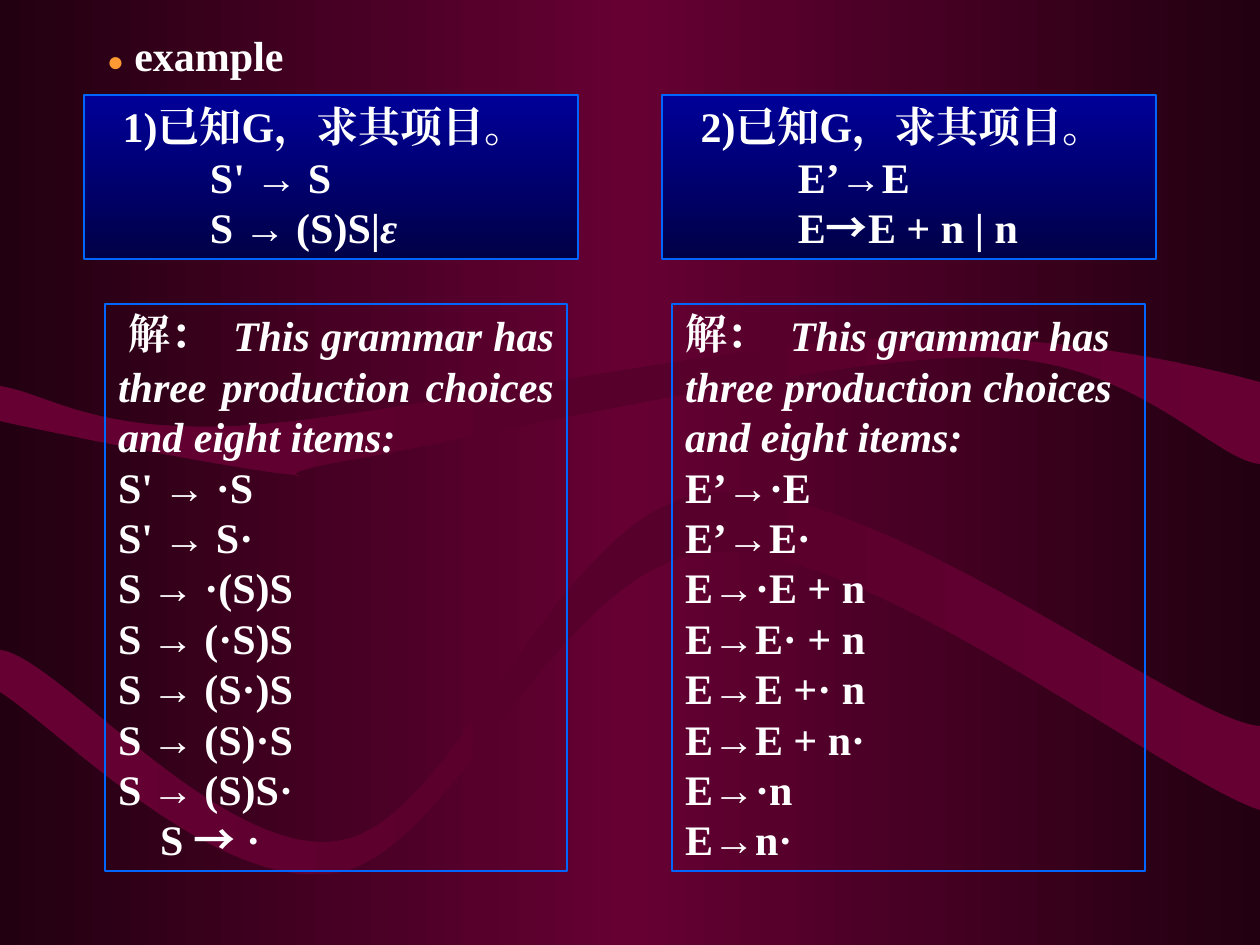
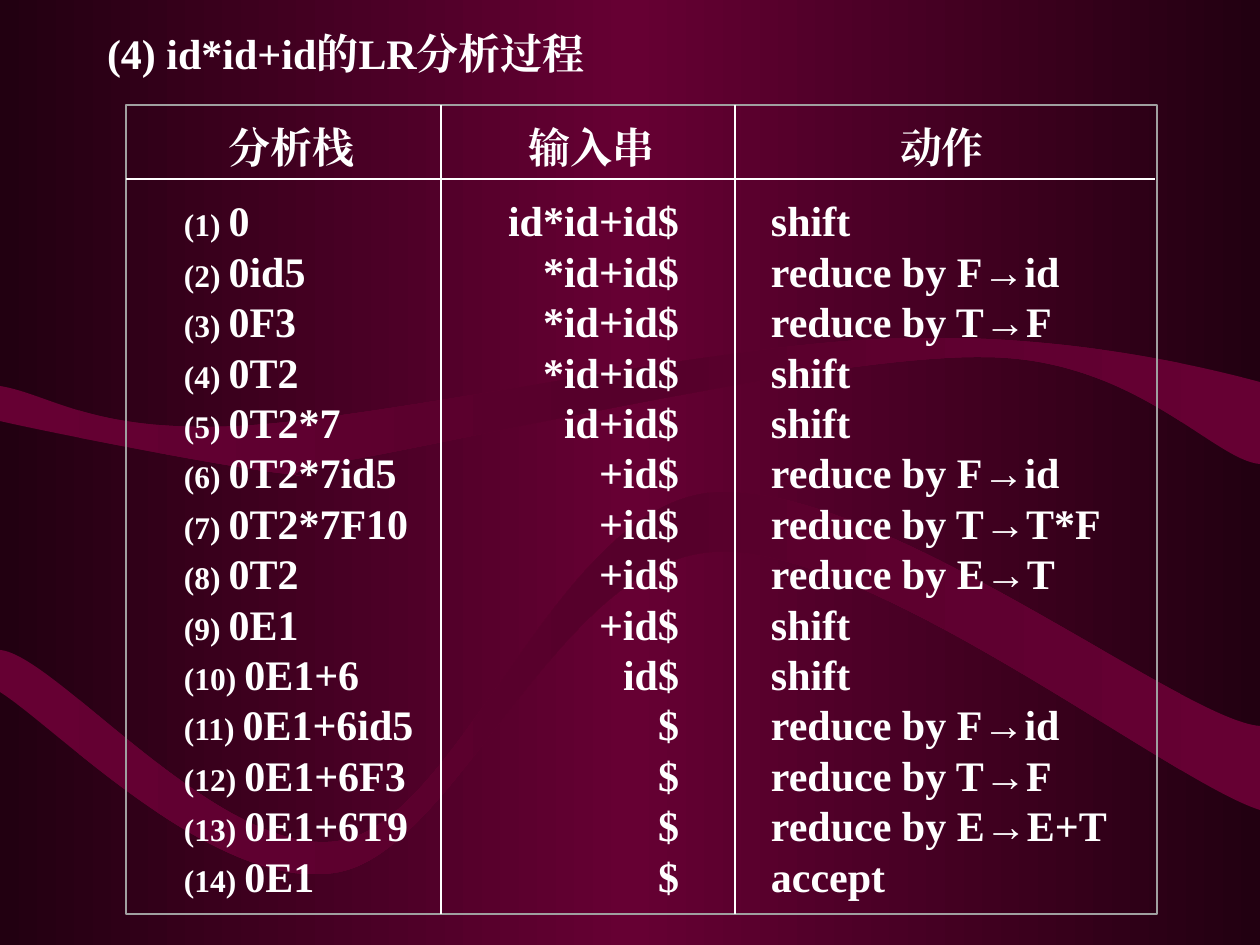
from collections import namedtuple
from copy import deepcopy

from lxml import etree
from pptx import Presentation
from pptx import util as u
from pptx.dml.color import RGBColor
from pptx.enum import shapes, text
from pptx.oxml.ns import qn

PX = 914400 / 126
EDGE = RGBColor(0x22, 0x00, 0x11)
WINE = RGBColor(0x66, 0x00, 0x33)
DARK_WINE = RGBColor(0x56, 0x00, 0x2B)
BLUE = RGBColor(0x00, 0x00, 0x99)
NAVY = RGBColor(0x00, 0x00, 0x47)
BORDER = RGBColor(0x00, 0x66, 0xFF)
ORANGE = RGBColor(0xFF, 0x99, 0x33)
GREY = RGBColor(0xA0, 0xA0, 0xA0)
WHITE = RGBColor(0xFF, 0xFF, 0xFF)
SERIF, SANS, CJK = "Times New Roman", "Arial", "Noto Sans CJK SC"
LEFT, CENTER, RIGHT, JUSTIFY = (text.PP_ALIGN.LEFT, text.PP_ALIGN.CENTER,
                                text.PP_ALIGN.RIGHT, text.PP_ALIGN.JUSTIFY)
TOP, MIDDLE = text.MSO_ANCHOR.TOP, text.MSO_ANCHOR.MIDDLE

Box = namedtuple("Box", "left top width height")
Span = namedtuple("Span", "text size color font italic",
                  defaults=(24, WHITE, SERIF, False))
Line = namedtuple("Line", "spans align margin indent spacing",
                  defaults=(LEFT, 0, 0, None))

RIBBONS = [
    [(0, 386), (0, 421),
     (47, 432, 221, 466, 280, 473), (339, 479, 239, 478, 355, 459),
     (473, 438, 832, 355, 983, 357), (1134, 357, 1213, 460, 1260, 464),
     (1260, 382),
     (1197, 365, 1053, 331, 883, 339), (713, 345, 387, 418, 239, 426),
     (92, 433, 50, 394, 0, 386)],
    [(0, 650), (0, 692),
     (57, 728, 219, 896, 339, 872), (457, 849, 558, 562, 712, 552),
     (866, 541, 1168, 781, 1260, 810), (1260, 726),
     (1182, 721, 871, 475, 708, 493), (556, 512, 462, 814, 344, 840),
     (226, 866, 57, 655, 0, 650)],
]

EXERCISES = [
    {"question": Box(84, 95, 494, 164), "answer": Box(105, 304, 462, 567),
     "label_left": 11, "align": JUSTIFY, "opening": 115,
     "task": "1)已知G，求其项目。", "rule_margin": 126,
     "rules": [[Span("S' → S")],
               [Span("S → (S)S|"), Span("ε", italic=True)]],
     "items": ["S' → ·S", "S' → S·", "S → ·(S)S", "S → (·S)S", "S → (S·)S",
               "S → (S)·S", "S → (S)S·"],
     "last": Line([Span("S "), Span("→", font=CJK), Span(" ·")], indent=42)},
    {"question": Box(662, 95, 494, 164), "answer": Box(672, 304, 473, 567),
     "label_left": 0, "align": LEFT, "opening": 105,
     "task": "2)已知G，求其项目。", "rule_margin": 136,
     "rules": [[Span("E’→E")],
               [Span("E"), Span("→", font=CJK), Span("E + n | n")]],
     "items": ["E’→·E", "E’→E·", "E→·E + n", "E→E· + n", "E→E +· n",
               "E→E + n·", "E→·n"],
     "last": Line([Span("E→n·")])},
]

STEPS = [
    ("0", "id*id+id$", "shift"),
    ("0id5", "*id+id$", "reduce by F→id"),
    ("0F3", "*id+id$", "reduce by T→F"),
    ("0T2", "*id+id$", "shift"),
    ("0T2*7", "id+id$", "shift"),
    ("0T2*7id5", "+id$", "reduce by F→id"),
    ("0T2*7F10", "+id$", "reduce by T→T*F"),
    ("0T2", "+id$", "reduce by E→T"),
    ("0E1", "+id$", "shift"),
    ("0E1+6", "id$", "shift"),
    ("0E1+6id5", "$", "reduce by F→id"),
    ("0E1+6F3", "$", "reduce by T→F"),
    ("0E1+6T9", "$", "reduce by E→E+T"),
    ("0E1", "$", "accept"),
]


def px(value):
    return u.Emu(round(value * PX))


def place(box):
    return [px(value) for value in box]


def gradient(fill, colors, angle=0):
    fill.gradient()
    fill.gradient_angle = angle
    stops = fill.gradient_stops
    stop_list = stops[0]._gs.getparent()
    for _ in colors[2:]:
        stop_list.append(deepcopy(stop_list[-1]))
    for index, (stop, color) in enumerate(zip(fill.gradient_stops, colors)):
        stop.color.rgb = color
        stop.position = index / (len(colors) - 1)


def write(shape, lines, anchor=TOP, left_inset=13):
    frame = shape.text_frame
    frame.word_wrap = True
    frame.auto_size = text.MSO_AUTO_SIZE.NONE
    frame.vertical_anchor = anchor
    frame.margin_left, frame.margin_right = px(left_inset), px(13)
    frame.margin_top = frame.margin_bottom = px(6)
    for index, line in enumerate(lines):
        para = frame.add_paragraph() if index else frame.paragraphs[0]
        para.alignment = line.align
        para.line_spacing = line.spacing
        settings = para._p.get_or_add_pPr()
        settings.set("marL", str(px(line.margin)))
        settings.set("indent", str(px(line.indent)))
        for span in line.spans:
            run = para.add_run()
            run.text = span.text
            font = run.font
            font.name, font.size = span.font, u.Pt(span.size)
            font.bold, font.italic = True, span.italic
            font.color.rgb = span.color
            etree.SubElement(font._element, qn("a:ea"), typeface=span.font)


def add_text(page, box, lines, anchor=TOP):
    write(page.shapes.add_textbox(*place(box)), lines, anchor)


def add_panel(page, box, border):
    panel = page.shapes.add_shape(shapes.MSO_SHAPE.RECTANGLE, *place(box))
    panel.shadow.inherit = False
    panel.fill.background()
    panel.line.color.rgb = border
    panel.line.width = u.Pt(0.75)
    return panel


def add_rule(page, start, end):
    rule = page.shapes.add_connector(shapes.MSO_CONNECTOR.STRAIGHT,
                                     *place(start + end))
    rule.line.color.rgb = WHITE
    rule.line.width = u.Pt(0.75)
    etree.SubElement(rule._element.spPr, qn("a:effectLst"))


def add_title(deck, box, line):
    page = deck.slides.add_slide(deck.slide_layouts[5])
    title = page.shapes.title
    title.left, title.top, title.width, title.height = place(box)
    write(title, [line], MIDDLE)
    return page


def add_ribbon(page, master, outline, depth):
    builder = page.shapes.build_freeform(*outline[0], scale=PX)
    builder.add_line_segments([step[-2:] for step in outline[1:]])
    ribbon = builder.convert_to_shape()
    left = 0
    top = min(y for step in outline for y in step[1::2])
    bottom = max(step[-1] for step in outline)
    ribbon.left, ribbon.top, ribbon.width, ribbon.height = place(
        (left, top, 1260, bottom - top))
    path = ribbon._element.spPr.find(".//" + qn("a:path"))
    path.set("w", "1260")
    path.set("h", str(bottom - top))
    for child in list(path):
        path.remove(child)
    for index, step in enumerate(outline):
        kind = "moveTo" if not index else "lnTo" if len(step) == 2 else "cubicBezTo"
        segment = etree.SubElement(path, qn("a:" + kind))
        for x, y in zip(step[::2], step[1::2]):
            etree.SubElement(segment, qn("a:pt"), x=str(x), y=str(y - top))
    etree.SubElement(path, qn("a:close"))
    ribbon.shadow.inherit = False
    ribbon.line.fill.background()
    gradient(ribbon.fill, [WINE, DARK_WINE, WINE])
    ribbon._element.nvSpPr.cNvPr.set("id", str(100 + depth))
    master.shapes._spTree.insert(2 + depth, ribbon._element)


def decorate_master(deck, page):
    master = deck.slide_master
    gradient(master.background.fill, [EDGE, WINE, EDGE])
    for depth, outline in enumerate(RIBBONS):
        add_ribbon(page, master, outline, depth)


def add_question(page, box, exercise):
    panel = add_panel(page, box, BORDER)
    gradient(panel.fill, [BLUE, NAVY], 270)
    rules = [Line(spans, margin=exercise["rule_margin"])
             for spans in exercise["rules"]]
    write(panel, [Line([Span(exercise["task"])], CENTER)] + rules, left_inset=0)


def add_answer(page, box, exercise):
    align = exercise["align"]
    opening = Span("This grammar has three production choices and eight items:",
                   italic=True)
    lines = [Line([opening], align, indent=exercise["opening"])]
    lines += [Line([Span(item)], align) for item in exercise["items"]]
    write(add_panel(page, box, BORDER), lines + [exercise["last"]])
    label = Box(box.left + exercise["label_left"], box.top - 10, 168, 63)
    add_text(page, label, [Line([Span("解：")], spacing=1.3)], MIDDLE)


def add_exercise_slide(deck):
    title = Line([Span("●", 16, ORANGE), Span(" example")], spacing=1.3)
    page = add_title(deck, Box(94, 21, 1071, 53), title)
    for exercise in EXERCISES:
        add_question(page, exercise["question"], exercise)
        add_answer(page, exercise["answer"], exercise)
    return page


def action_spans(action):
    before, arrow, after = action.partition("→")
    return [Span(before), Span(arrow, font=SANS), Span(after)] if arrow else [Span(before)]


def add_parse_trace(page, box):
    stacks, inputs, actions = zip(*STEPS)
    stack_lines = [Line([Span(f"({number}) ", 18), Span(stack)], JUSTIFY)
                   for number, stack in enumerate(stacks, 1)]
    input_lines = [Line([Span(rest)], RIGHT) for rest in inputs]
    action_lines = [Line(action_spans(action), JUSTIFY, margin=21)
                    for action in actions]
    columns = [("分析栈", 10, 312, 45, 312, stack_lines),
               ("输入串", 340, 252, 346, 220, input_lines),
               ("动作", 611, 410, 611, 410, action_lines)]
    for heading, head_left, head_width, left, width, lines in columns:
        add_text(page, Box(box.left + head_left, box.top + 11, head_width, 62),
                 [Line([Span(heading)], CENTER)])
        add_text(page, Box(box.left + left, box.top + 84, width, 730), lines)
    add_panel(page, box, GREY)
    head_bottom = box.top + 74
    add_rule(page, (box.left, head_bottom), (box.left + box.width - 2, head_bottom))
    for offset in (315, 609):
        x = box.left + offset
        add_rule(page, (x, box.top), (x, box.top + box.height))


def add_trace_slide(deck):
    title = Line([Span("(4) id*id+id的LR分析过程")])
    page = add_title(deck, Box(94, 21, 1029, 63), title)
    add_parse_trace(page, Box(126, 105, 1031, 809))


def main():
    deck = Presentation()
    deck.slide_width, deck.slide_height = px(1260), px(945)
    decorate_master(deck, add_exercise_slide(deck))
    add_trace_slide(deck)
    deck.save("out.pptx")


if __name__ == "__main__":
    main()
